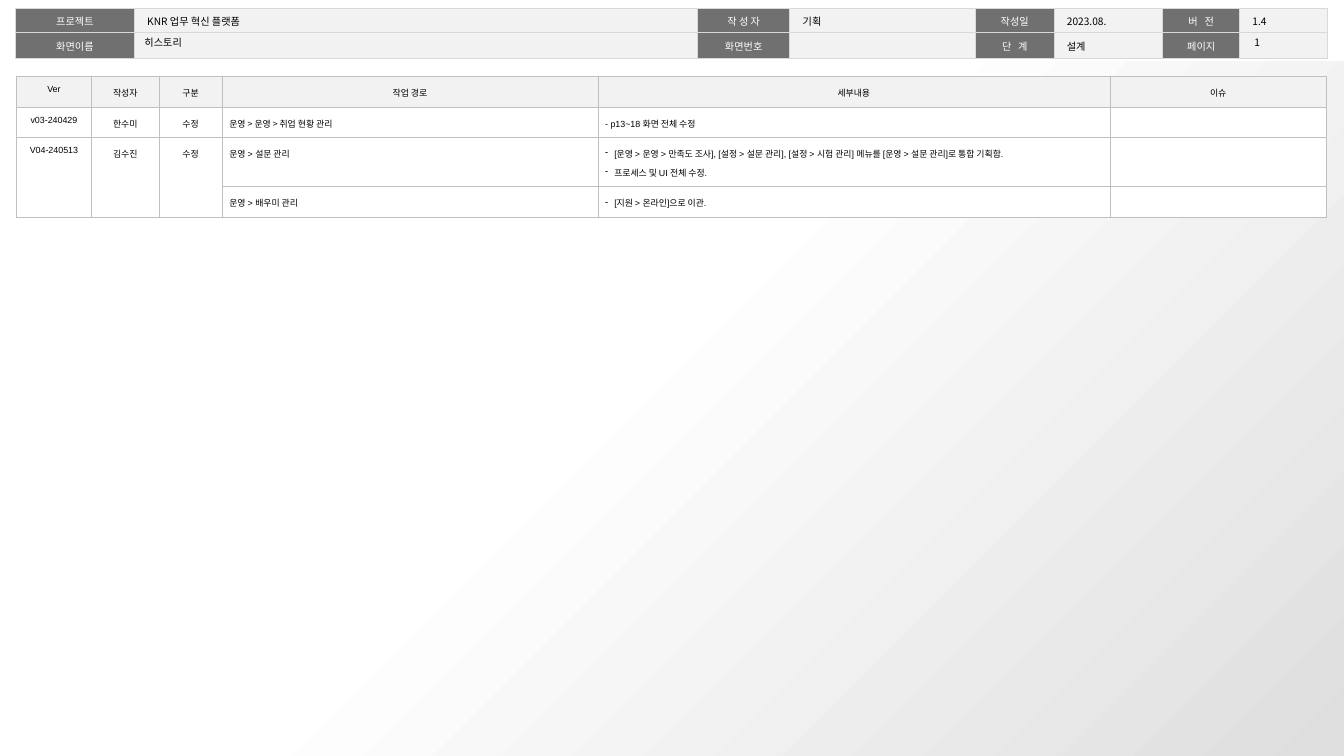
from dataclasses import dataclass

from lxml.etree import SubElement
from pptx import Presentation
from pptx.dml.color import RGBColor
from pptx.enum.shapes import MSO_SHAPE as Shape
from pptx.enum.text import MSO_ANCHOR as Anchor, MSO_AUTO_SIZE as AutoSize, PP_ALIGN as Align
from pptx.oxml.ns import qn
from pptx.util import Inches, Pt

COLORS = {
    "white": "FFFFFF",
    "black": "000000",
    "label": "707070",
    "light": "F2F2F2",
    "header_line": "D9D9D9",
    "history_line": "BFBFBF",
    "shade": "DEDEDE",
}
KOREAN = "Noto Sans CJK KR"


@dataclass
class Cell:
    text: str = ""
    fill: str = "white"
    color: str = "black"
    align: Align = Align.LEFT
    font: str = "Arial"
    bullet: bool = False
    spacing: int = 0
    open_sides: str = ""


@dataclass
class Grid:
    left: float
    top: float
    widths: list[float]
    heights: list[float]
    cells: list[list[Cell]]
    margins: tuple[float, float, float, float]
    size: int
    line_spacing: float
    line: str
    line_width: float


def rgb(name: str) -> RGBColor:
    return RGBColor.from_string(COLORS[name])


def apply(target, values: dict) -> None:
    for name, value in values.items():
        setattr(target, name, value)


def write(para, text: str, size: int, font: str, color: str, spacing: int = 0) -> None:
    span = para.add_run()
    span.text = text
    apply(span.font, {"size": Pt(size), "name": font, "bold": False})
    span.font.color.rgb = rgb(color)
    properties = span.font._element
    SubElement(properties, qn("a:ea"), typeface=KOREAN)
    if spacing:
        properties.set("spc", str(spacing))


def add_borders(box, grid: Grid, open_sides: str) -> None:
    properties = box._tc.get_or_add_tcPr()
    for side in "LRTB":
        line = SubElement(properties, qn(f"a:ln{side}"), w=str(Pt(grid.line_width)))
        if side in open_sides:
            SubElement(line, qn("a:noFill"))
        else:
            fill = SubElement(line, qn("a:solidFill"))
            SubElement(fill, qn("a:srgbClr"), val=COLORS[grid.line])


def fill_cell(box, cell: Cell, grid: Grid) -> None:
    add_borders(box, grid, cell.open_sides)
    box.fill.solid()
    box.fill.fore_color.rgb = rgb(cell.fill)
    sides = ("margin_left", "margin_top", "margin_right", "margin_bottom")
    apply(box, dict(zip(sides, map(Inches, grid.margins))))
    box.vertical_anchor = Anchor.TOP
    for index, text in enumerate(cell.text.split("\n")):
        frame = box.text_frame
        para = frame.add_paragraph() if index else frame.paragraphs[0]
        apply(para, {"alignment": cell.align, "line_spacing": grid.line_spacing})
        if cell.bullet:
            properties = para._p.get_or_add_pPr()
            properties.set("marL", str(Inches(0.1)))
            properties.set("indent", str(Inches(-0.1)))
            SubElement(properties, qn("a:buChar"), char="-")
        if text:
            write(para, text, grid.size, cell.font, cell.color, cell.spacing)
        else:
            SubElement(para._p, qn("a:endParaRPr"), sz=str(grid.size * 100))


def draw_grid(page, grid: Grid) -> None:
    table = page.shapes.add_table(
        len(grid.heights), len(grid.widths), Inches(grid.left), Inches(grid.top),
        Inches(sum(grid.widths)), Inches(sum(grid.heights)),
    ).table
    apply(table, {"first_row": False, "horz_banding": False})
    for column, width in zip(table.columns, grid.widths):
        column.width = Inches(width)
    for row, height, cells in zip(table.rows, grid.heights, grid.cells):
        row.height = Inches(height)
        for box, cell in zip(row.cells, cells):
            fill_cell(box, cell, grid)


def label(text: str, spacing: int = 0) -> Cell:
    return Cell(text, "label", "white", Align.CENTER, KOREAN, spacing=spacing)


def value(text: str = "") -> Cell:
    return Cell(text, "light", font=KOREAN)


def center(text: str, fill: str = "white", open_sides: str = "") -> Cell:
    return Cell(text, fill, align=Align.CENTER, open_sides=open_sides)


def add_background(page) -> None:
    backdrop = page.shapes.add_shape(Shape.RECTANGLE, 0, Inches(0.67), Inches(14.7), Inches(7.6))
    backdrop.shadow.inherit = False
    backdrop.line.fill.background()
    backdrop.fill.gradient()
    backdrop.fill.gradient_angle = 315
    stops = ((0.45, "white"), (1, "shade"))
    for stop, (position, color) in zip(backdrop.fill.gradient_stops, stops):
        stop.position = position
        stop.color.rgb = rgb(color)


def place_text(box, text: str, left: float, width: float, inset: float) -> None:
    apply(box, {"left": Inches(left), "top": Inches(0.38),
                "width": Inches(width), "height": Inches(0.16)})
    frame = box.text_frame
    apply(frame, {"word_wrap": True, "auto_size": AutoSize.NONE,
                  "vertical_anchor": Anchor.MIDDLE,
                  "margin_left": Inches(inset), "margin_right": Inches(inset)})
    para = frame.paragraphs[0]
    para.alignment = Align.LEFT
    write(para, text, 8, KOREAN, "black")


HEADER = Grid(
    0.17, 0.09, [1.3, 6.16, 1.01, 2.03, 0.86, 1.19, 0.84, 0.96], [0.27, 0.28],
    [
        [label("프로젝트"), value("KNR 업무 혁신 플랫폼"), label("작 성 자"), value("기획"),
         label("작성일"), value("2023.08."), label("버 전", 180), value("1.4")],
        [label("화면이름"), value(), label("화면번호"), value(),
         label("단 계", 180), value("설계"), label("페이지"), value()],
    ],
    (0.14, 0.05, 0.14, 0.05), 8, 1.05, "header_line", 1,
)
HISTORY = Grid(
    0.18, 0.83, [0.82, 0.74, 0.69, 4.11, 5.6, 2.37], [0.34, 0.33, 0.54, 0.33],
    [
        [center(text, "light") for text in ("Ver", "작성자", "구분", "작업 경로", "세부내용", "이슈")],
        [*map(center, ("v03-240429", "한수미", "수정")),
         Cell("운영 > 운영 > 취업 현황 관리", font=KOREAN), Cell("- p13~18 화면 전체 수정"), Cell()],
        [*(center(text, open_sides="B") for text in ("V04-240513", "김수진", "수정")),
         Cell("운영 > 설문 관리"),
         Cell("[운영 > 운영 > 만족도 조사], [설정 > 설문 관리], [설정 > 시험 관리] 메뉴를 "
              "[운영 > 설문 관리]로 통합 기획함.\n프로세스 및 UI 전체 수정.", bullet=True), Cell()],
        [*(center("", open_sides="T") for _ in range(3)),
         Cell("운영 > 배우미 관리"), Cell("[지원 > 온라인]으로 이관.", bullet=True), Cell()],
    ],
    (0.08, 0.04, 0.08, 0.08), 7, 1.5, "history_line", 0.25,
)


def main() -> None:
    deck = Presentation()
    apply(deck, {"slide_width": Inches(14.7), "slide_height": Inches(8.27)})
    page = deck.slides.add_slide(deck.slide_layouts[5])
    draw_grid(page, HEADER)
    add_background(page)
    place_text(page.shapes.add_textbox(0, 0, 0, 0), "1", 13.62, 0.72, 0.1)
    title = page.shapes.title
    page.shapes._spTree.append(title._element)
    place_text(title, "히스토리", 1.47, 5.42, 0.11)
    draw_grid(page, HISTORY)
    deck.save("out.pptx")


if __name__ == "__main__":
    main()
